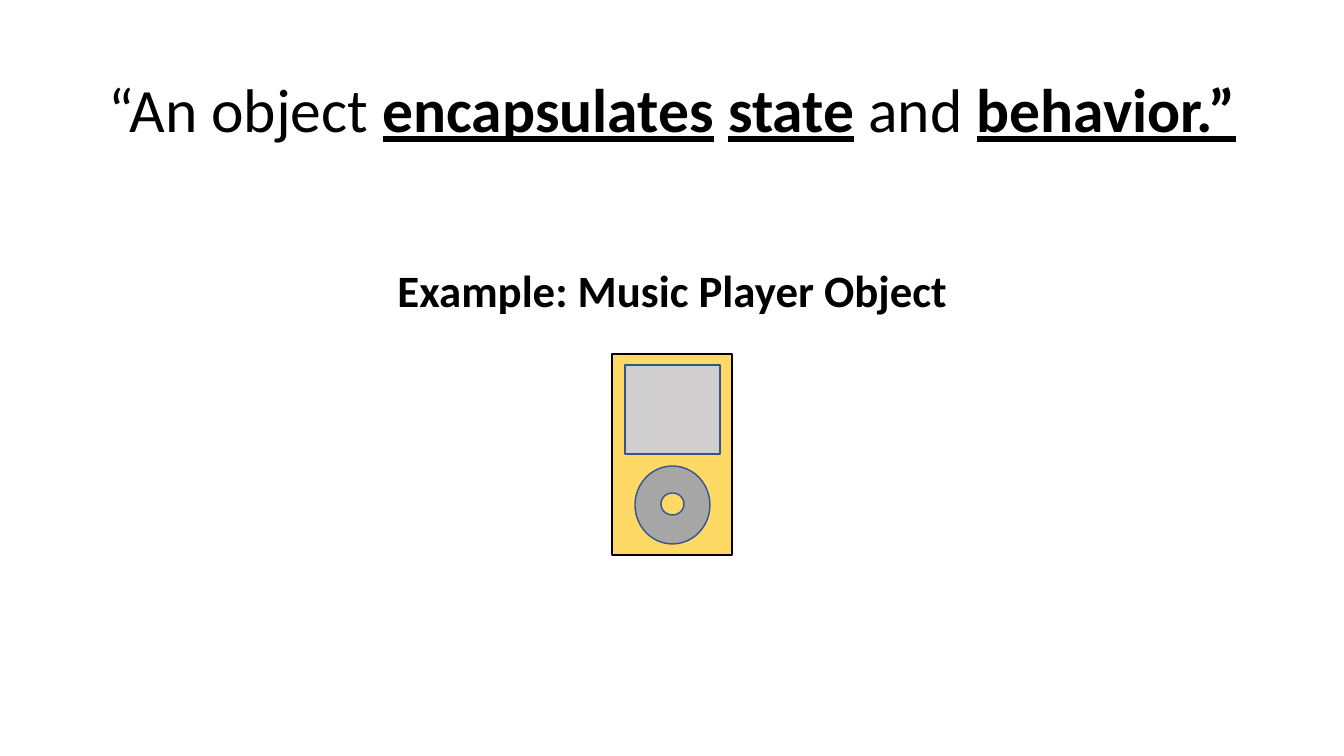
"""Build a slide that shows a music player as an example of an object."""
from pptx import Presentation
from pptx.dml.color import RGBColor
from pptx.enum.shapes import MSO_SHAPE
from pptx.enum.text import MSO_ANCHOR, PP_ALIGN
from pptx.util import Emu, Pt

BLACK = RGBColor(0x00, 0x00, 0x00)
YELLOW = RGBColor(0xFF, 0xD9, 0x66)
SCREEN_GRAY = RGBColor(0xD0, 0xCE, 0xCE)
WHEEL_GRAY = RGBColor(0xA6, 0xA6, 0xA6)
BLUE = RGBColor(0x32, 0x54, 0x91)
EMU_PER_PIXEL = 914400 / 100.8


def pixels(*lengths):
    return [Emu(round(length * EMU_PER_PIXEL)) for length in lengths]


presentation = Presentation()
presentation.slide_width, presentation.slide_height = pixels(1344, 756)
slide = presentation.slides.add_slide(presentation.slide_layouts[6])

player_parts = [
    (MSO_SHAPE.RECTANGLE, (612, 354, 120, 201), YELLOW, BLACK),
    (MSO_SHAPE.RECTANGLE, (625, 365, 95, 89), SCREEN_GRAY, BLUE),
    (MSO_SHAPE.OVAL, (635, 466, 75, 78), WHEEL_GRAY, BLUE),
    (MSO_SHAPE.OVAL, (661, 493, 23, 22), YELLOW, BLUE),
]
for kind, box, fill_color, line_color in player_parts:
    shape = slide.shapes.add_shape(kind, *pixels(*box))
    shape.shadow.inherit = False
    shape.fill.solid()
    shape.fill.fore_color.rgb = fill_color
    shape.line.color.rgb = line_color
    shape.line.width = Pt(1)

PLAIN = {"bold": False, "underline": False}
BOLD = {"bold": True, "underline": False}
KEYWORD = {"bold": True, "underline": True}
headings = [
    (220, 32, [("Example: Music Player Object", BOLD)]),
    (40, 44, [
        ("“An object ", PLAIN),
        ("encapsulates", KEYWORD),
        (" ", PLAIN),
        ("state", KEYWORD),
        (" and ", PLAIN),
        ("behavior.”", KEYWORD),
    ]),
]
for top, size, pieces in headings:
    text_box = slide.shapes.add_textbox(*pixels(93, top, 1159, 146))
    text_frame = text_box.text_frame
    text_frame.word_wrap = True
    text_frame.vertical_anchor = MSO_ANCHOR.MIDDLE
    paragraph = text_frame.paragraphs[0]
    paragraph.alignment = PP_ALIGN.CENTER
    paragraph.line_spacing = 0.9
    for text, style in pieces:
        run = paragraph.add_run()
        run.text = text
        run.font.color.rgb = BLACK
        font_values = {"name": "Calibri", "size": Pt(size), **style}
        for attribute, value in font_values.items():
            setattr(run.font, attribute, value)

presentation.save("out.pptx")
